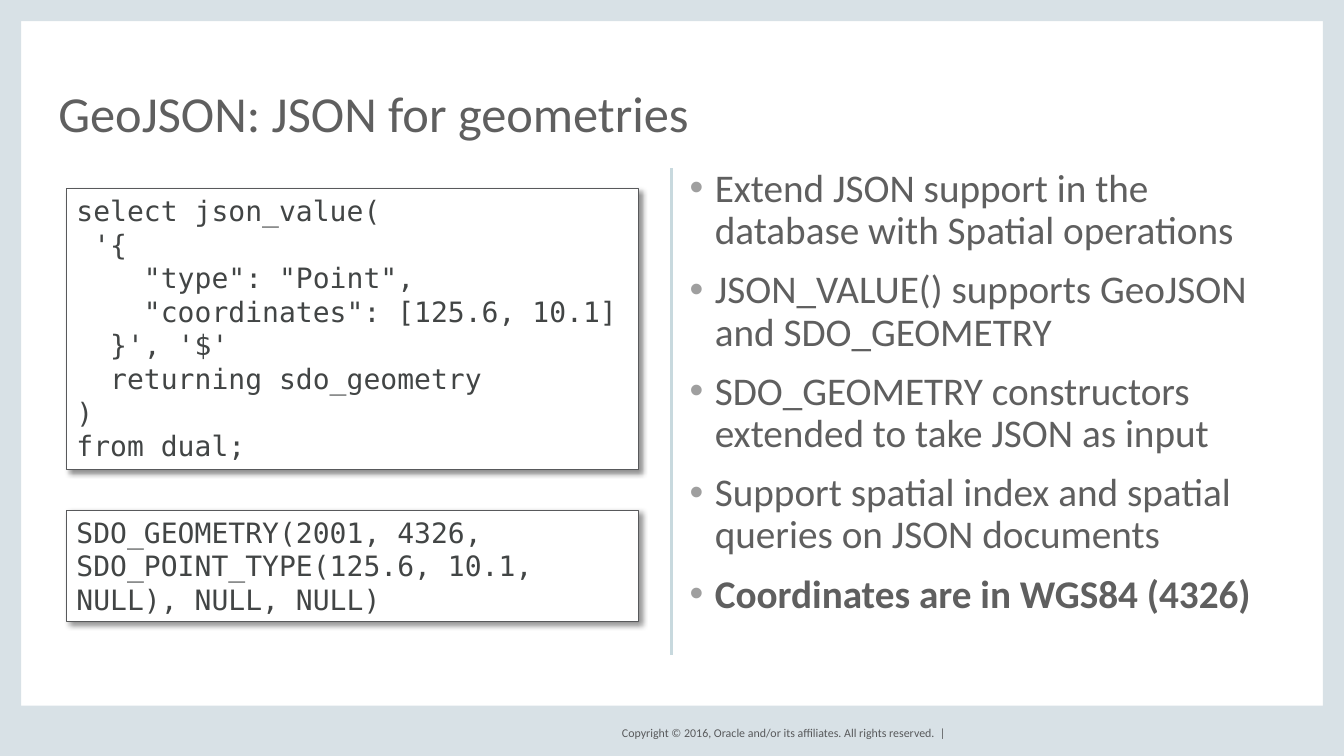
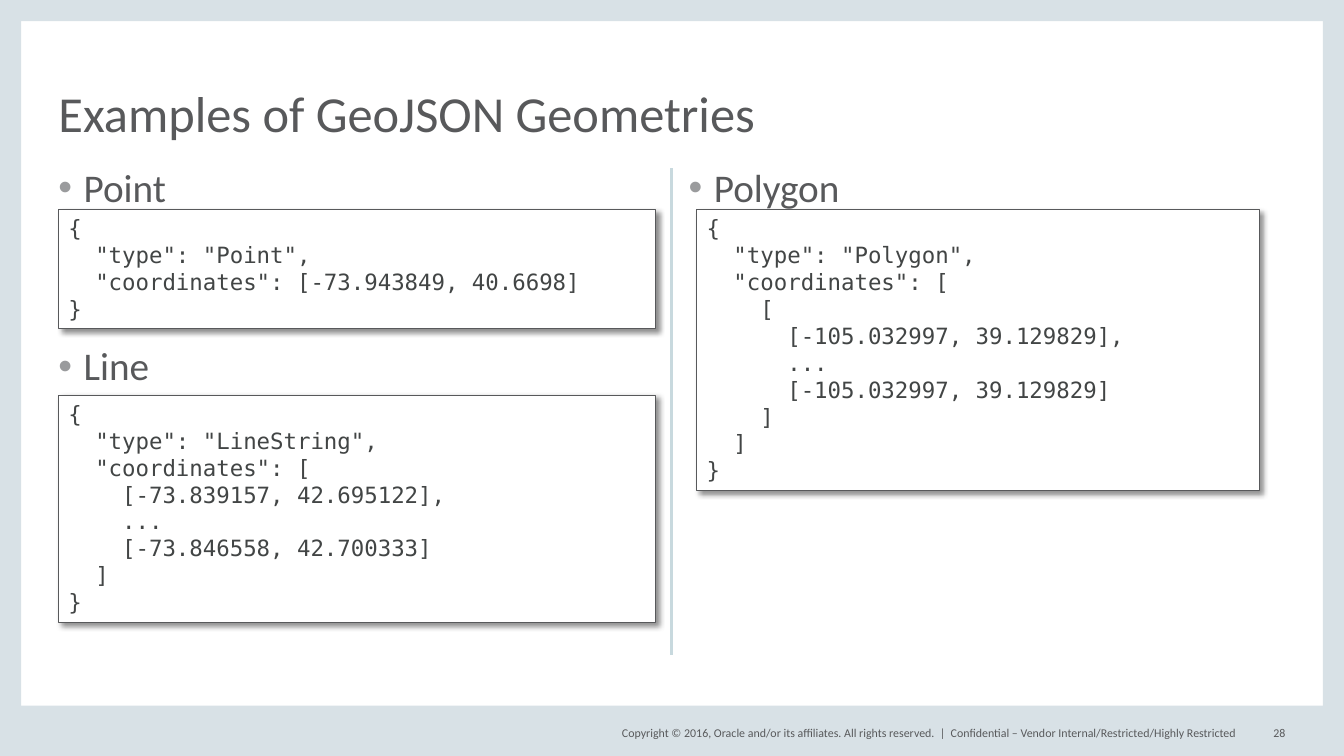
import pptx
import pptx.dml.color
import pptx.enum.shapes
import pptx.enum.text
import pptx.oxml
import pptx.oxml.ns
import pptx.util
from lxml import etree

PX = 9144  # EMU per px, 100 px to the inch
WIDTH, HEIGHT = 1333, 750
EDGE, FOOT = 21, 50
LEFT, TOP, COLUMN = 58, 167, 592
RIGHT = 683
FOOTER_TOP, FOOTER_HEIGHT = 717, 20

COLORS = {
    "band": "D8E1E6",
    "divider": "C8D9DE",
    "paper": "FFFFFF",
    "text": "58595B",
    "soft_text": "5F5F5F",
    "bullet": "9A9B9D",
    "soft_bullet": "9F9F9F",
    "code": "424545",
    "shadow": "000000",
}
BODY_FONT, CODE_FONT = "Calibri", "DejaVu Sans Mono"

ALIGN = pptx.enum.text.PP_ALIGN
ANCHOR = pptx.enum.text.MSO_ANCHOR
RECTANGLE = pptx.enum.shapes.MSO_SHAPE.RECTANGLE

POINT_QUERY = """select json_value(
 '{
    "type": "Point",
    "coordinates": [125.6, 10.1]
  }', '$'
  returning sdo_geometry
)
from dual;"""

QUERY_RESULT = "SDO_GEOMETRY(2001, 4326, SDO_POINT_TYPE(125.6, 10.1, NULL), NULL, NULL)"

POINT = """{
  "type": "Point",
  "coordinates": [-73.943849, 40.6698]
}"""

LINE = """{
  "type": "LineString",
  "coordinates": [
    [-73.839157, 42.695122],
    ...
    [-73.846558, 42.700333]
  ]
}"""

POLYGON = """{
  "type": "Polygon",
  "coordinates": [
    [
      [-105.032997, 39.129829],
      ...
      [-105.032997, 39.129829]
    ]
  ]
}"""


def px(*lengths):
    return [pptx.util.Emu(length * PX) for length in lengths]


def rgb(name):
    return pptx.dml.color.RGBColor.from_string(COLORS[name])


def set_font(paragraph, name, size, color, bold=False):
    font = paragraph.font
    font.name, font.size, font.bold = name, pptx.util.Pt(size), bold
    font.color.rgb = rgb(color)


def add_child(parent, tag, **attributes):
    return etree.SubElement(parent, pptx.oxml.ns.qn(tag), attributes)


def add_rectangle(page, area, fill):
    shape = page.shapes.add_shape(RECTANGLE, *px(*area))
    shape.shadow.inherit = False
    shape.fill.solid()
    shape.fill.fore_color.rgb = rgb(fill)
    shape.line.fill.background()
    return shape


def add_frame(page, area, anchor=ANCHOR.TOP):
    """Text frame without insets."""
    frame = page.shapes.add_textbox(*px(*area)).text_frame
    frame.word_wrap = True
    frame.vertical_anchor = anchor
    frame.margin_left = frame.margin_top = 0
    frame.margin_right = frame.margin_bottom = 0
    return frame


def add_title(page, text, color):
    paragraph = add_frame(page, (LEFT, 44, 1217, 97), ANCHOR.BOTTOM).paragraphs[0]
    paragraph.text = text
    paragraph.line_spacing = 0.8
    set_font(paragraph, BODY_FONT, 36, color)


def add_footer(page, left, width, text, align=ALIGN.LEFT):
    area = (left, FOOTER_TOP, width, FOOTER_HEIGHT)
    paragraph = add_frame(page, area, ANCHOR.MIDDLE).paragraphs[0]
    paragraph.text = text
    paragraph.alignment = align
    set_font(paragraph, BODY_FONT, 8.5, "text")


def add_bullets(page, area, items, color, bullet, bold_items=()):
    frame = add_frame(page, area)
    for index, item in enumerate(items):
        paragraph = frame.add_paragraph() if index else frame.paragraphs[0]
        paragraph.text = item
        paragraph.line_spacing = 0.9
        paragraph.space_before = pptx.util.Pt(12 if index else 0)
        # Hanging bullet
        properties = paragraph._p.get_or_add_pPr()
        properties.set("marL", str(25 * PX))
        properties.set("indent", str(-25 * PX))
        add_child(add_child(properties, "a:buClr"), "a:srgbClr", val=COLORS[bullet])
        add_child(properties, "a:buFont", typeface="Arial")
        add_child(properties, "a:buChar", char="•")
        set_font(paragraph, BODY_FONT, 28, color, item in bold_items)


def add_code(page, area, code, size):
    shape = add_rectangle(page, area, "paper")
    shape.line.color.rgb = rgb("text")
    shape.line.width = pptx.util.Pt(0.75)
    # Drop shadow
    effects = shape._element.spPr.find(pptx.oxml.ns.qn("a:effectLst"))
    shadow = add_child(
        effects, "a:outerShdw", blurRad=str(pptx.util.Pt(4)),
        dist=str(pptx.util.Pt(3)), dir=str(45 * 60000), algn="tl", rotWithShape="0",
    )
    shade = add_child(shadow, "a:srgbClr", val=COLORS["shadow"])
    add_child(shade, "a:alpha", val="43000")
    # Code lines
    frame = shape.text_frame
    frame.word_wrap = True
    frame.auto_size = pptx.enum.text.MSO_AUTO_SIZE.SHAPE_TO_FIT_TEXT
    frame.vertical_anchor = ANCHOR.TOP
    frame.text = code
    for paragraph in frame.paragraphs:
        paragraph.alignment = ALIGN.LEFT
        set_font(paragraph, CODE_FONT, size, "code")


def add_divider(page):
    line = page.shapes.add_connector(
        pptx.enum.shapes.MSO_CONNECTOR.STRAIGHT, *px(666, TOP, 666, 650))
    line.line.color.rgb = rgb("divider")
    line.line.width = pptx.util.Pt(1.5)
    add_child(line._element.spPr, "a:effectLst")


def add_page(deck, title, color):
    """Page with the shared bands, copyright, divider and title."""
    page = deck.slides.add_slide(deck.slide_layouts[6])
    for band in (
        (0, 0, EDGE, HEIGHT),
        (WIDTH - EDGE, 0, EDGE, HEIGHT),
        (0, HEIGHT - FOOT, WIDTH, FOOT),
        (0, 0, WIDTH, EDGE),
    ):
        add_rectangle(page, band, "band")
    add_footer(
        page, 588, 350,
        "Copyright © 2016, Oracle and/or its affiliates. All rights reserved.  |",
        ALIGN.RIGHT,
    )
    add_divider(page)
    add_title(page, title, color)
    return page


def build_overview(deck):
    page = add_page(deck, "GeoJSON: JSON for geometries", "soft_text")
    coordinates = "Coordinates are in WGS84 (4326)"
    items = [
        "Extend JSON support in the database with Spatial operations",
        "JSON_VALUE() supports GeoJSON and SDO_GEOMETRY",
        "SDO_GEOMETRY constructors extended to take JSON as input",
        "Support spatial index and spatial queries on JSON documents",
        coordinates,
    ]
    add_bullets(page, (RIGHT + 1, TOP, COLUMN, 450), items,
                "soft_text", "soft_bullet", [coordinates])
    add_code(page, (66, 187, 567, 279), POINT_QUERY, 20)
    add_code(page, (66, 506, 567, 111), QUERY_RESULT, 20)


def build_examples(deck):
    page = add_page(deck, "Examples of GeoJSON Geometries", "text")
    for left, top, heading, area, code in (
        (LEFT, TOP, "Point", (LEFT, 208, COLUMN, 118), POINT),
        (LEFT, 344, "Line", (LEFT, 392, COLUMN, 226), LINE),
        (RIGHT, TOP, "Polygon", (691, 208, 558, 279), POLYGON),
    ):
        add_bullets(page, (left, top, COLUMN, 42), [heading], "text", "bullet")
        add_code(page, area, code, 16)
    add_footer(page, 943, 300,
               "Confidential – Vendor Internal/Restricted/Highly Restricted")
    add_footer(page, 1233, 42, "28", ALIGN.RIGHT)


def main():
    deck = pptx.Presentation()
    deck.slide_width, deck.slide_height = px(WIDTH, HEIGHT)
    build_overview(deck)
    build_examples(deck)
    deck.save("out.pptx")


if __name__ == "__main__":
    main()
